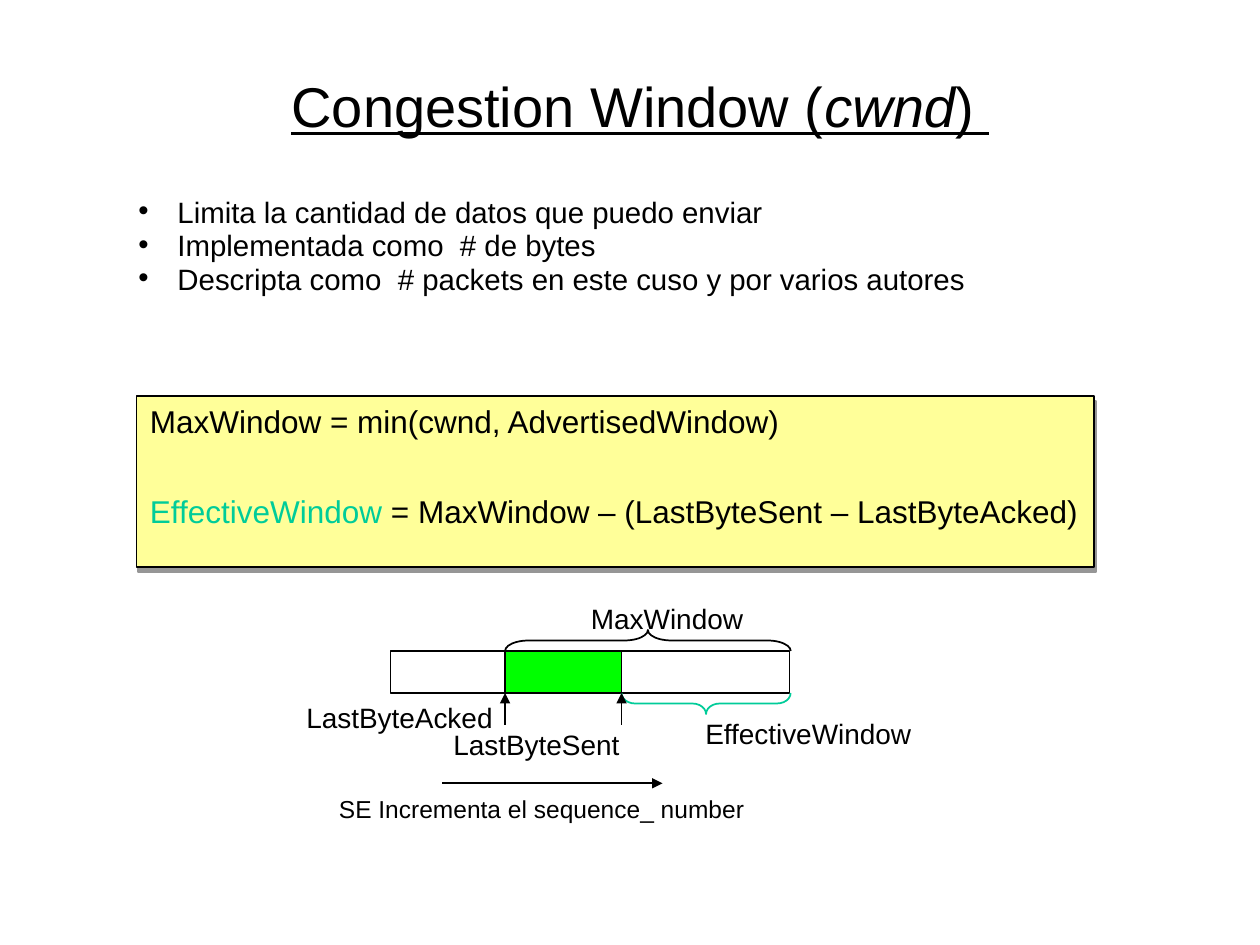
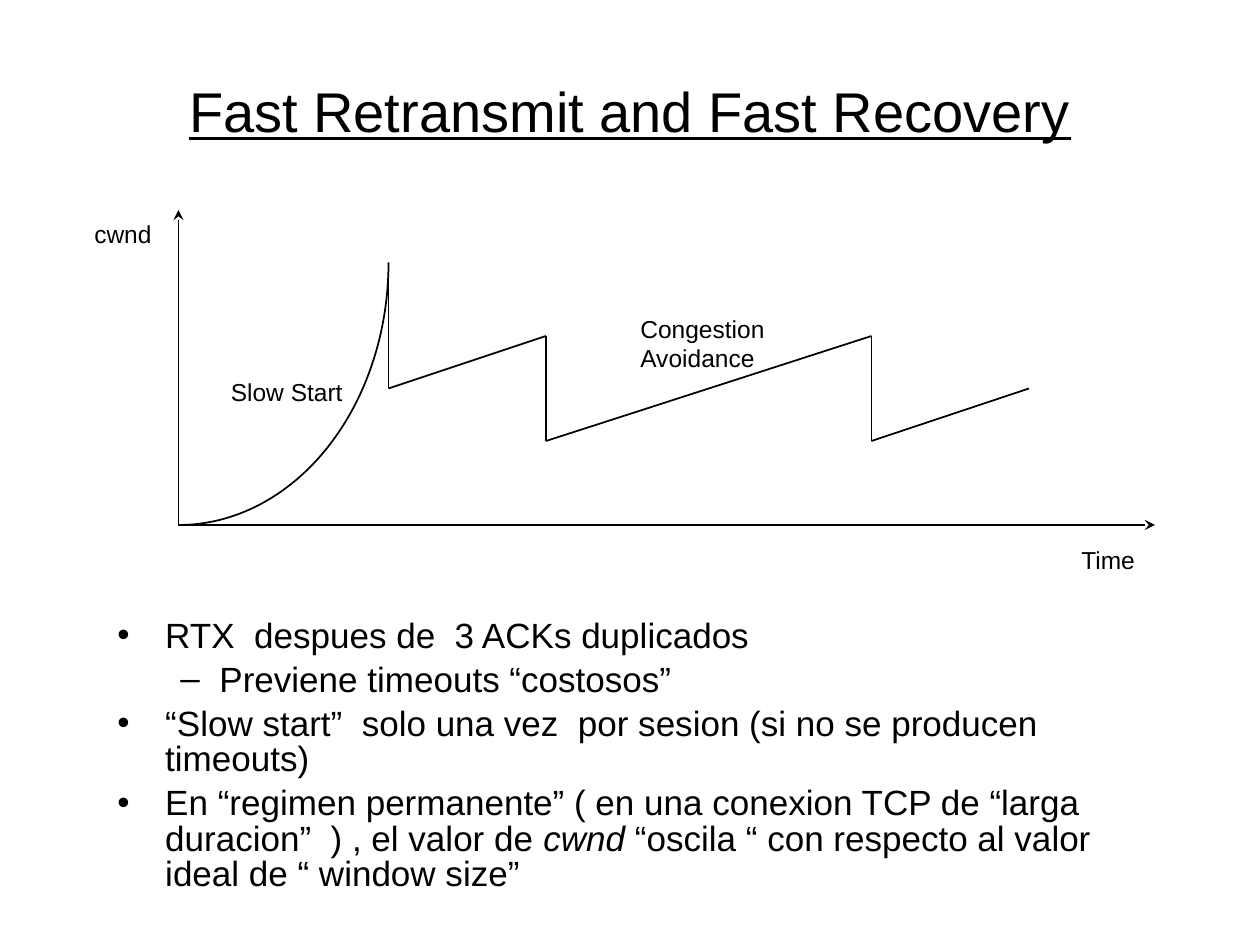
import pptx
import pptx.dml.color
import pptx.enum.shapes
import pptx.enum.text
import pptx.oxml
import pptx.oxml.ns
import pptx.util
from lxml import etree

COLUMNS = 120
FONT = "Arial"
BLACK = "000000"
TEAL = "00CC99"
GREEN = "00FF00"
YELLOW = "FFFF99"
SHADOW = "969696"
TITLE_SIZE = 32
FORMULA_SIZE = 18
DIAGRAM_SIZE = 16
CAPTION_SIZE = 14

color = pptx.dml.color.RGBColor.from_string
qualified = pptx.oxml.ns.qn
shape_type = pptx.enum.shapes.MSO_SHAPE

presentation = pptx.Presentation()
presentation.slide_width = pptx.util.Inches(10)
presentation.slide_height = pptx.util.Inches(7.5)
cell = presentation.slide_width // COLUMNS


def add_text(slide, frame, lines, size, wrap=False):
    box = slide.shapes.add_textbox(*[round(value * cell) for value in frame])
    text_frame = box.text_frame
    text_frame.word_wrap = wrap
    for index, line in enumerate(lines):
        paragraph = text_frame.add_paragraph() if index else text_frame.paragraphs[0]
        for piece in line.split("|"):
            run = paragraph.add_run()
            run.text = piece
            run.font.name = FONT
            run.font.size = pptx.util.Pt(size)
            run.font.color.rgb = color(BLACK)
    return text_frame


def add_line(slide, start, end, arrowhead=None):
    points = [round(value * cell) for value in (*start, *end)]
    line = slide.shapes.add_connector(pptx.enum.shapes.MSO_CONNECTOR.STRAIGHT, *points)
    line.line.color.rgb = color(BLACK)
    line.line.width = pptx.util.Pt(1)
    if arrowhead:
        etree.SubElement(line.line._get_or_add_ln(), qualified("a:tailEnd"), type=arrowhead)
    etree.SubElement(line._element.spPr, qualified("a:effectLst"))


window_slide, recovery_slide = [
    presentation.slides.add_slide(presentation.slide_layouts[6]) for _ in range(2)
]

for slide, frame, title in [
    (window_slide, (10, 4, 102, 12), "Congestion Window (|cwnd|) "),
    (recovery_slide, (9, 4, 102, 13), "Fast Retransmit and Fast Recovery"),
]:
    text_frame = add_text(slide, frame, [title], TITLE_SIZE, wrap=True)
    text_frame.vertical_anchor = pptx.enum.text.MSO_ANCHOR.MIDDLE
    text_frame.paragraphs[0].alignment = pptx.enum.text.PP_ALIGN.CENTER
    for run in text_frame.paragraphs[0].runs:
        run.font.underline = True
        run.font.italic = run.text == "cwnd"

window_points = [
    "Limita la cantidad de datos que puedo enviar",
    "Implementada como  # de bytes",
    "Descripta como  # packets en este cuso y por varios autores",
]
recovery_points = [
    "RTX  despues de  3 ACKs duplicados",
    "Previene timeouts “costosos”",
    "“Slow start”  solo una vez  por sesion (si no se producen timeouts)",
    "En “regimen permanente” ( en una conexion TCP de “larga duracion”  ) , el valor de "
    "|cwnd| “oscila “ con respecto al valor ideal de “ window size”",
]
for slide, frame, points, size, spacing, gap, indent in [
    (window_slide, (12, 19, 93, 10), window_points, 16.8, 0.64, 6, 0.31),
    (recovery_slide, (10, 58.5, 101, 27.5), recovery_points, 20, 0.84, 5, 0.38),
]:
    text_frame = add_text(slide, frame, points, size, wrap=True)
    for index, paragraph in enumerate(text_frame.paragraphs):
        nested = paragraph.text.startswith("Previene")
        paragraph.level = int(nested)
        paragraph.line_spacing = spacing
        paragraph.space_before = pptx.util.Pt(gap if index else 0)
        margin, hanging = (0.81, 0.31) if nested else (indent, indent)
        properties = paragraph._p.get_or_add_pPr()
        properties.set("marL", str(pptx.util.Inches(margin)))
        properties.set("indent", str(-pptx.util.Inches(hanging)))
        etree.SubElement(properties, qualified("a:buFont"), typeface=FONT)
        etree.SubElement(properties, qualified("a:buChar"), char="–" if nested else "•")
        for run in paragraph.runs:
            run.font.italic = run.text == "cwnd"

acked, sent, window_end = 48.1, 59.2, 75.3
bar_top, bar_bottom = 62, 66
bar_height = bar_bottom - bar_top
for frame, fill in [
    ((13, 37.7, 91.2, 16.3), YELLOW),
    ((37.2, bar_top, 38, bar_height), None),
    ((acked, bar_top, sent - acked, bar_height), GREEN),
]:
    box = window_slide.shapes.add_shape(shape_type.RECTANGLE, *[round(value * cell) for value in frame])
    box.shadow.inherit = False
    box.line.color.rgb = color(BLACK)
    box.line.width = pptx.util.Pt(1)
    if fill:
        box.fill.solid()
        box.fill.fore_color.rgb = color(fill)
    else:
        box.fill.background()
    if fill == YELLOW:
        effects = box._element.spPr.find(qualified("a:effectLst"))
        shadow = etree.SubElement(
            effects, qualified("a:outerShdw"), dist=str(pptx.util.Pt(3.2)), dir=str(72 * 60000)
        )
        etree.SubElement(shadow, qualified("a:srgbClr"), val=SHADOW)

brace_depth = 2
for start, middle, rotation, corner, line_color in [
    (acked, bar_top - brace_depth / 2, 90, 1.12, BLACK),
    (sent, bar_bottom + brace_depth / 2, 270, 0.65, TEAL),
]:
    span = window_end - start
    frame = ((start + window_end - brace_depth) / 2, middle - span / 2, brace_depth, span)
    brace = window_slide.shapes.add_shape(shape_type.LEFT_BRACE, *[round(value * cell) for value in frame])
    brace.rotation = rotation
    brace.adjustments[0] = corner
    brace.shadow.inherit = False
    brace.fill.background()
    brace.line.color.rgb = color(line_color)
    brace.line.width = pptx.util.Pt(1)

for column in (acked, sent):
    add_line(window_slide, (column, 69), (column, bar_bottom), "triangle")
add_line(window_slide, (42.1, 74.6), (63.1, 74.6), "triangle")

add_text(window_slide, (13.1, 37.7, 63.4, 4.8), ["MaxWindow = min(cwnd, AdvertisedWindow)"], FORMULA_SIZE)
formula = add_text(
    window_slide,
    (13.1, 46.3, 90.8, 4.8),
    ["EffectiveWindow| = MaxWindow – (LastByteSent – LastByteAcked)"],
    FORMULA_SIZE,
)
formula.paragraphs[0].runs[0].font.color.rgb = color(TEAL)

for slide, frame, lines, size in [
    (window_slide, (28, 66.1, 20.2, 4.3), ["LastByteAcked"], DIAGRAM_SIZE),
    (window_slide, (42, 68.7, 18.2, 4.3), ["LastByteSent"], DIAGRAM_SIZE),
    (window_slide, (55.1, 56.7, 16.9, 4.3), ["MaxWindow"], DIAGRAM_SIZE),
    (window_slide, (66, 67.7, 22.1, 4.3), ["EffectiveWindow"], DIAGRAM_SIZE),
    (window_slide, (31.1, 75, 41, 4), ["SE Incrementa el sequence_ number"], CAPTION_SIZE),
    (recovery_slide, (101.8, 51.3, 7.7, 4), ["Time"], CAPTION_SIZE),
    (recovery_slide, (7.8, 20.3, 7.9, 4), ["cwnd"], CAPTION_SIZE),
    (recovery_slide, (20.8, 35.3, 13.1, 4), ["Slow Start"], CAPTION_SIZE),
    (recovery_slide, (59.8, 29.3, 14.3, 6.8), ["Congestion", "Avoidance"], CAPTION_SIZE),
]:
    add_text(slide, frame, lines, size)

origin = (17, 50)
for axis_end in [(17, 20), (110, 50)]:
    add_line(recovery_slide, origin, axis_end, "stealth")

radius_across, radius_down = 20, 25
frame = (origin[0] - radius_across, origin[1] - 2 * radius_down, 2 * radius_across, 2 * radius_down)
slow_start = recovery_slide.shapes.add_shape(shape_type.ARC, *[value * cell for value in frame])
slow_start.adjustments[0] = 0
slow_start.adjustments[1] = 54
slow_start.shadow.inherit = False
slow_start.fill.background()
slow_start.line.color.rgb = color(BLACK)
slow_start.line.width = pptx.util.Pt(1)

sawtooth = [(37, 26), (37, 37), (52, 32), (52, 42), (83, 32), (83, 42), (98, 37)]
for start, end in zip(sawtooth, sawtooth[1:]):
    add_line(recovery_slide, start, end)

presentation.save("out.pptx")
